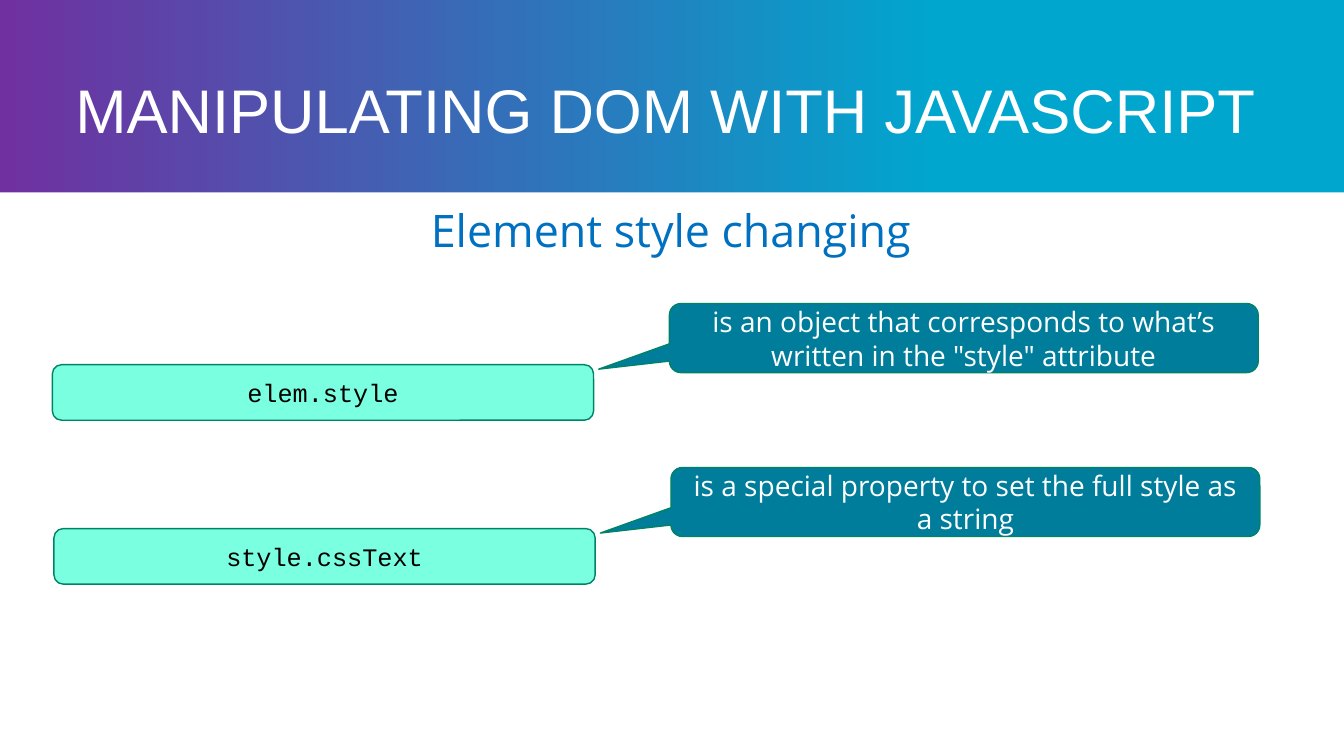
from pptx import Presentation
from pptx.dml.color import RGBColor
from pptx.enum.shapes import MSO_SHAPE
from pptx.enum.text import MSO_ANCHOR, PP_ALIGN
from pptx.util import Cm, Pt

RECT = MSO_SHAPE.RECTANGLE
ROUNDED = MSO_SHAPE.ROUNDED_RECTANGLE
CALLOUT = MSO_SHAPE.ROUNDED_RECTANGULAR_CALLOUT
MIDDLE, TOP = MSO_ANCHOR.MIDDLE, MSO_ANCHOR.TOP
LEFT, CENTER = PP_ALIGN.LEFT, PP_ALIGN.CENTER

WHITE = RGBColor(0xFF, 0xFF, 0xFF)
BLACK = RGBColor(0x00, 0x00, 0x00)
CYAN = RGBColor(0x00, 0xA6, 0xCE)
PURPLE = RGBColor(0x70, 0x30, 0xA0)
BLUE = RGBColor(0x00, 0x70, 0xC0)
TEAL = RGBColor(0x00, 0x7D, 0x9B)
MINT = RGBColor(0x7A, 0xFF, 0xE0)
GREEN = RGBColor(0x00, 0x83, 0x65)


def add_shape(kind, x, y, w, h, fill, line=None):
    sp = slide.shapes.add_shape(kind, Cm(x), Cm(y), Cm(w), Cm(h))
    sp.shadow.inherit = False
    sp.fill.solid()
    sp.fill.fore_color.rgb = fill
    if line is None:
        sp.line.fill.background()
    else:
        sp.line.color.rgb = line
        sp.line.width = Pt(1)
    return sp


def write(sp, text, size, color, font="Open Sans", align=CENTER, anchor=MIDDLE):
    tf = sp.text_frame
    tf.word_wrap = True
    tf.vertical_anchor = anchor
    p = tf.paragraphs[0]
    p.alignment = align
    r = p.add_run()
    r.text = text
    r.font.size = Pt(size)
    r.font.name = font
    r.font.color.rgb = color
    return tf


prs = Presentation()
prs.slide_width, prs.slide_height = Cm(33.87), Cm(19.05)
slide = prs.slides.add_slide(prs.slide_layouts[6])

# Gradient header: the background shows above the white body
bg = slide.background.fill
bg.gradient()
bg.gradient_angle = 180
for stop, color, position in zip(bg.gradient_stops, (CYAN, PURPLE), (0.3, 1)):
    stop.color.rgb = color
    stop.position = position
add_shape(RECT, 0, 4.85, 33.87, 14.2, WHITE)

title = slide.shapes.add_textbox(Cm(1.9), Cm(1.9), Cm(30.06), Cm(1.91))
tf = write(title, "MANIPULATING DOM WITH JAVASCRIPT", 44, WHITE, font="Arial", align=LEFT)
tf.margin_left = 0
tf.paragraphs[0].line_spacing = 0.9

subtitle = slide.shapes.add_textbox(Cm(10.11), Cm(4.98), Cm(13.61), Cm(1.62))
write(subtitle, "Element style changing", 32, BLUE, anchor=TOP)

# Each property with the callout that explains it
properties = [
    ("elem.style", "is an object that corresponds to what’s written in the \"style\" attribute"),
    ("style.cssText", "is a special property to set the full style as a string"),
]
for i, (code, meaning) in enumerate(properties):
    x, y = 1.32 + 0.04 * i, 7.65 + 4.13 * i
    callout = add_shape(CALLOUT, x + 15.55, y, 14.84, 1.74, TEAL, GREEN)
    callout.adjustments[0] = -0.62
    callout.adjustments[1] = 0.45
    write(callout, meaning, 20, WHITE)
    box = add_shape(ROUNDED, x, y + 1.54, 13.64, 1.4, MINT, GREEN)
    write(box, code, 18, BLACK, font="Courier New")

prs.save("out.pptx")
